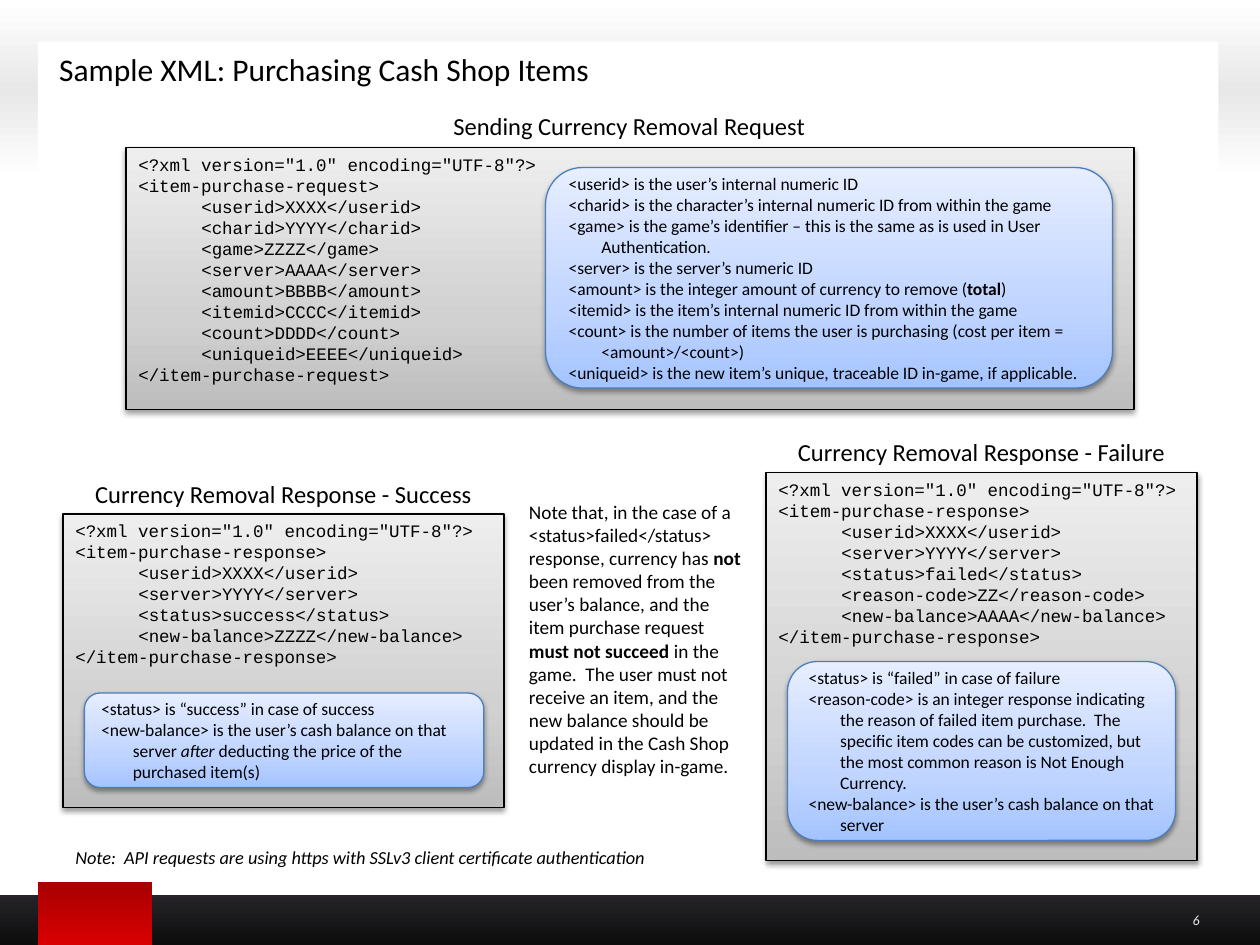
from lxml import etree
from pptx import Presentation
from pptx.dml.color import RGBColor
from pptx.enum.shapes import MSO_SHAPE
from pptx.enum.text import MSO_ANCHOR, PP_ALIGN
from pptx.oxml.ns import qn
from pptx.util import Inches, Pt

WIDTH, HEIGHT = 10, 7.5
BLACK = "000000"
GREY_STOPS = [(0, "BDBDBD"), (35, "D1D1D1"), (100, "EEEEEE")]
BLUE_STOPS = [(0, "A4C4FF"), (35, "BFD4FF"), (100, "E6EEFF")]
HEADING_HEIGHT = 0.34


def colour(hex_value):
    return RGBColor.from_string(hex_value)


def add_child(parent, tag, **attributes):
    return etree.SubElement(parent, qn(tag), {k: str(v) for k, v in attributes.items()})


# ---- Shapes and text ----
def add_block(slide, box, preset=MSO_SHAPE.RECTANGLE, stops=None, angle=90, line=None):
    """Add a shape with a white or gradient fill; an outlined one casts a shadow."""
    block = slide.shapes.add_shape(preset, *map(Inches, box))
    block.shadow.inherit = False
    if stops:
        block.fill.gradient()
        block.fill.gradient_angle = angle
        stop_list = block.element.spPr.find(".//" + qn("a:gsLst"))
        for old_stop in list(stop_list):
            stop_list.remove(old_stop)
        for position, hex_value in stops:
            stop = add_child(stop_list, "a:gs", pos=position * 1000)
            add_child(stop, "a:srgbClr", val=hex_value)
    else:
        block.fill.solid()
        block.fill.fore_color.rgb = colour("FFFFFF")
    if line:
        block.line.color.rgb = colour(line)
        block.line.width = Pt(0.75)
        effects = block.element.spPr.find(qn("a:effectLst"))
        shadow = add_child(effects, "a:outerShdw", blurRad=Pt(3.1), dist=Pt(1.6),
                           dir=90 * 60000, rotWithShape=0)
        add_child(add_child(shadow, "a:srgbClr", val=BLACK), "a:alpha", val=38000)
    else:
        block.line.fill.background()
    return block


def write(holder, lines, size, font="Calibri", hex_value=BLACK, align=PP_ALIGN.LEFT,
          anchor=MSO_ANCHOR.TOP, italic=None, emphasis="bold", hang=0, hang_from=0, tab=0):
    """Write one paragraph per line; text between | marks is emphasised."""
    frame = holder.text_frame
    frame.word_wrap = True
    frame.vertical_anchor = anchor
    for index, line in enumerate(lines):
        paragraph = frame.add_paragraph() if index else frame.paragraphs[0]
        paragraph.alignment = align
        paragraph.font.name, paragraph.font.size = font, Pt(size)
        paragraph.font.color.rgb = colour(hex_value)
        paragraph.font.italic = italic
        properties = paragraph._p.get_or_add_pPr()
        if hang and index >= hang_from:
            properties.set("marL", str(Inches(hang)))
            properties.set("indent", str(-Inches(hang)))
        if tab:
            tabs = etree.Element(qn("a:tabLst"))
            add_child(tabs, "a:tab", pos=Inches(tab), algn="l")
            properties.insert(0, tabs)
        for part, text in enumerate(line.split("|")):
            run = paragraph.add_run()
            run.text = text
            if part % 2:
                setattr(run.font, emphasis, True)


def add_text(slide, box, lines, size, **style):
    holder = slide.shapes.add_textbox(*map(Inches, box))
    write(holder, lines, size, **style)
    return holder


# ---- Regions ----
def add_backdrop(slide):
    add_block(slide, (0, 0, WIDTH, 1.42),
              stops=[(0, "FFFFFF"), (50, "E8E8E8"), (100, "FFFFFF")])
    add_block(slide, (0.3, 0.33, 9.37, 1.67))
    footer_top = HEIGHT - 0.4
    add_block(slide, (0, footer_top, WIDTH, 0.4),
              stops=[(0, "252327"), (100, "0D0D0D")], angle=270)
    add_block(slide, (0.3, 7, 0.91, 0.5), stops=[(0, "A80000"), (100, "D90000")], angle=270)
    number = add_text(slide, (8.87, footer_top, 0.75, 0.4), ["6"], 8, hex_value="E8E8E8",
                      align=PP_ALIGN.RIGHT, anchor=MSO_ANCHOR.MIDDLE, italic=True)
    frame = number.text_frame
    frame.margin_left = frame.margin_top = frame.margin_bottom = 0


def add_title(slide, box, text):
    title = slide.shapes.title
    title.left, title.top, title.width, title.height = map(Inches, box)
    write(title, [text], 18)
    # Bring the title in front of the backdrop
    title.element.getparent().append(title.element)


def add_message(slide, box, heading, root, fields, heading_box=None):
    """Add a grey panel with an XML message and its heading above."""
    left, top, width, _ = box
    panel = add_block(slide, box, stops=GREY_STOPS, line=BLACK)
    code = ['<?xml version="1.0" encoding="UTF-8"?>', f"<{root}>"]
    code += [f"\t<{name}>{value}</{name}>" for name, value in fields]
    code.append(f"</{root}>")
    write(panel, code, 10, font="Courier New", tab=0.5)
    add_text(slide, heading_box or (left, top - HEADING_HEIGHT + 0.01, width, HEADING_HEIGHT),
             [heading], 14, align=PP_ALIGN.CENTER)


def add_explanation(slide, box, lines, **style):
    callout = add_block(slide, box, MSO_SHAPE.ROUNDED_RECTANGLE, BLUE_STOPS, line="4B7EBC")
    write(callout, lines, 10, anchor=MSO_ANCHOR.MIDDLE, **style)


def main():
    deck = Presentation()
    deck.slide_width, deck.slide_height = Inches(WIDTH), Inches(HEIGHT)
    slide = deck.slides.add_slide(deck.slide_layouts[5])
    add_backdrop(slide)
    add_title(slide, (0.37, 0.35, 9.13, 0.4), "Sample XML: Purchasing Cash Shop Items")

    # Request
    add_message(slide, (1, 1.17, 8, 2.08), "Sending Currency Removal Request",
                "item-purchase-request",
                [("userid", "XXXX"), ("charid", "YYYY"), ("game", "ZZZZ"),
                 ("server", "AAAA"), ("amount", "BBBB"), ("itemid", "CCCC"),
                 ("count", "DDDD"), ("uniqueid", "EEEE")],
                heading_box=(3.08, 0.83, 3.83, HEADING_HEIGHT))
    add_explanation(slide, (4.33, 1.33, 4.5, 1.75), [
        "<userid> is the user’s internal numeric ID",
        "<charid> is the character’s internal numeric ID from within the game",
        "<game> is the game’s identifier – this is the same as is used in User Authentication.",
        "<server> is the server’s numeric ID",
        "<amount> is the integer amount of currency to remove (|total|)",
        "<itemid> is the item’s internal numeric ID from within the game",
        "<count> is the number of items the user is purchasing "
        "(cost per item = <amount>/<count>)",
        "<uniqueid> is the new item’s unique, traceable ID in-game, if applicable.",
    ], hang=0.26, hang_from=2)

    # Success response
    add_message(slide, (0.5, 4.08, 3.5, 2.33), "Currency Removal Response - Success",
                "item-purchase-response",
                [("userid", "XXXX"), ("server", "YYYY"), ("status", "success"),
                 ("new-balance", "ZZZZ")])
    add_explanation(slide, (0.67, 5.5, 3.17, 0.75), [
        "<status> is “success” in case of success",
        "<new-balance> is the user’s cash balance on that server |after| "
        "deducting the price of the purchased item(s)",
    ], hang=0.25, hang_from=1, emphasis="italic")

    # Failure response
    add_message(slide, (6.08, 3.75, 3.42, 3.08), "Currency Removal Response - Failure",
                "item-purchase-response",
                [("userid", "XXXX"), ("server", "YYYY"), ("status", "failed"),
                 ("reason-code", "ZZ"), ("new-balance", "AAAA")])
    add_explanation(slide, (6.25, 5.25, 3.08, 1.42), [
        "<status> is “failed” in case of failure",
        "<reason-code> is an integer response indicating the reason of failed item "
        "purchase.  The specific item codes can be customized, but the most common "
        "reason is Not Enough Currency.",
        "<new-balance> is the user’s cash balance on that server",
    ], hang=0.25, hang_from=1)

    # Remarks
    add_text(slide, (4.1, 3.92, 1.9, 2.51), [
        "Note that, in the case of a <status>failed</status> response, currency has |not| "
        "been removed from the user’s balance, and the item purchase request "
        "|must not succeed |in the game.  The user must not receive an item, and the new "
        "balance should be updated in the Cash Shop currency display in-game."], 11)
    add_text(slide, (0.5, 6.67, 6.83, 0.28), [
        "Note:  API requests are using https with SSLv3 client certificate authentication",
    ], 10.5, italic=True)
    deck.save("out.pptx")


if __name__ == "__main__":
    main()
